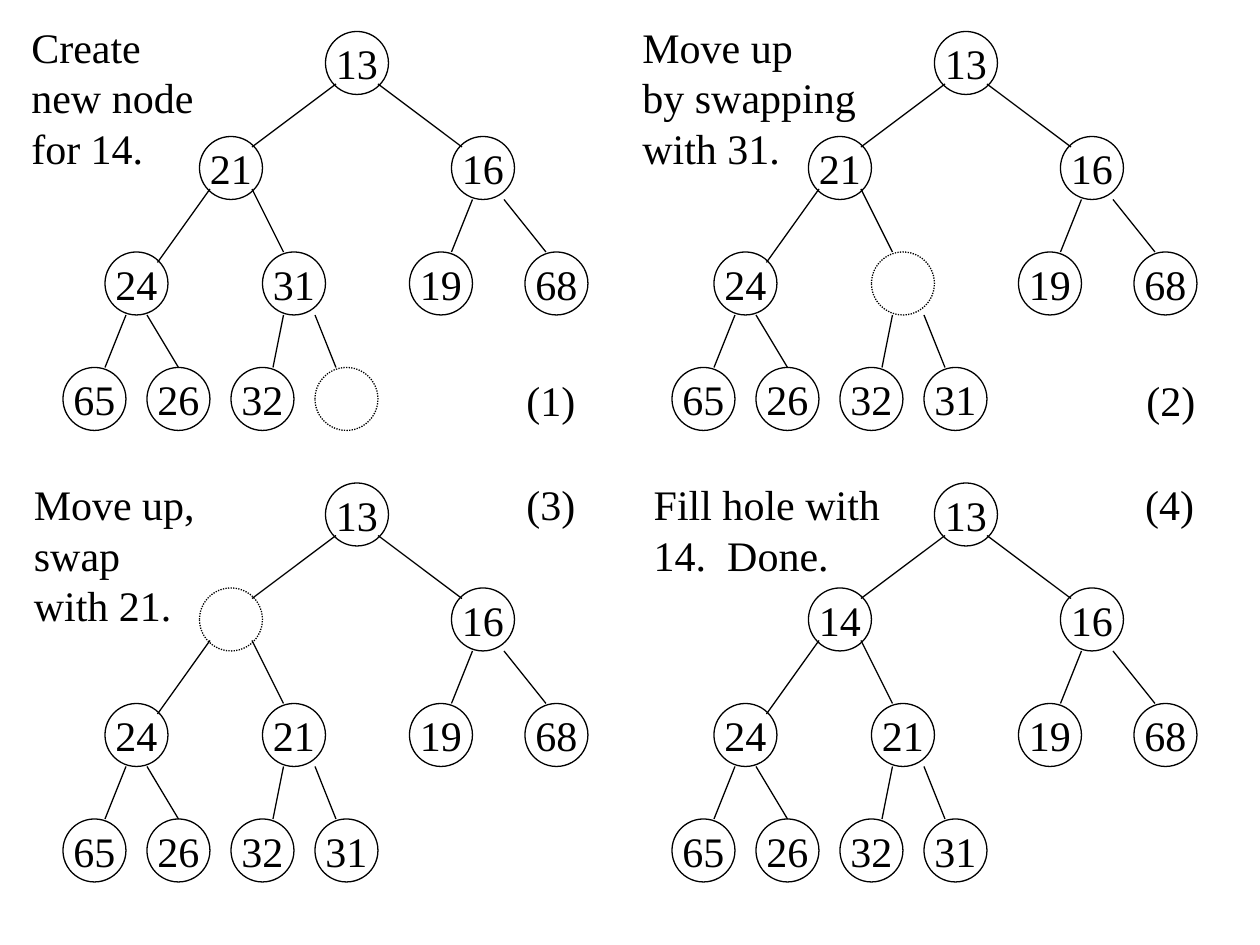
from pptx import Presentation
from pptx import util as u
from pptx.dml.color import RGBColor
from pptx.enum import dml, shapes, text
from pptx.oxml.ns import qn
from lxml import etree

COLORS = {"ink": "000000"}
FONT, SIZE, LEADING = "Times New Roman", 24, 28.8
CELL = u.Inches(1) / 12  # the trees sit on a grid of twelfths of an inch
NODE_CELLS = 6
TREE_STEP = (58, 43)  # columns and rows from one tree to the next

# Left column and top row of each heap node, level by level
NODE_SPOTS = [
    (31, 3),
    (19, 13), (43, 13),
    (10, 24), (25, 24), (39, 24), (50, 24),
    (6, 35), (14, 35), (22, 35), (30, 35),
]
# Start and end of each branch, parent to child
BRANCHES = [
    ((32, 8), (24, 14)), ((36, 8), (44, 14)),
    ((20, 18), (15, 25)), ((24, 18), (27, 24)),
    ((45, 19), (43, 24)), ((48, 19), (52, 24)),
    ((12, 30), (10, 35)), ((14, 30), (17, 35)),
    ((27, 30), (26, 35)), ((30, 30), (32, 35)),
]
# Values in level order; None is the hole. Boxes: left, top, width, height
STEPS = [
    {"values": [13, 21, 16, 24, 31, 19, 68, 65, 26, 32, None],
     "caption": ["Create", "new node", "for 14."],
     "caption_box": (0.15, 0.12, 1.49, 1.3), "number_box": (4.08, 2.92, 0.59, 0.5)},
    {"values": [13, 21, 16, 24, None, 19, 68, 65, 26, 32, 31],
     "caption": ["Move up", "by swapping", "with 31."],
     "caption_box": (5, 0.12, 1.9, 1.3), "number_box": (9, 2.92, 0.59, 0.5)},
    {"values": [13, None, 16, 24, 21, 19, 68, 65, 26, 32, 31],
     "caption": ["Move up,", "swap", "with 21."],
     "caption_box": (0.17, 3.75, 1.48, 1.3), "number_box": (4.08, 3.75, 0.59, 0.5)},
    {"values": [13, 14, 16, 24, 21, 19, 68, 65, 26, 32, 31],
     "caption": ["Fill hole with", "14.  Done."],
     "caption_box": (5.09, 3.75, 2.03, 0.9), "number_box": (8.99, 3.75, 0.59, 0.5)},
]


def ink():
    """Return the colour of all text and lines."""
    return RGBColor.from_string(COLORS["ink"])


def write(shape, lines, align):
    """Fill a shape with one paragraph per line, without wrapping."""
    frame = shape.text_frame
    frame.word_wrap = False
    frame.text = "\n".join(lines)
    for para in frame.paragraphs:
        para.alignment = align
        para.line_spacing = u.Pt(LEADING)
        para.font.name, para.font.size = FONT, u.Pt(SIZE)
        para.font.color.rgb = ink()


def draw_outline(line):
    """Give a line the common colour and width."""
    line.color.rgb = ink()
    line.width = u.Pt(0.75)


def add_label(page, lines, place):
    """Add a left-aligned text box at a place in inches."""
    box = page.shapes.add_textbox(*(u.Inches(length) for length in place))
    write(box, lines, text.PP_ALIGN.LEFT)
    box.text_frame.auto_size = text.MSO_AUTO_SIZE.SHAPE_TO_FIT_TEXT


def add_node(page, value, left, top):
    """Add a heap node, dotted and empty when it is the hole."""
    side = round(NODE_CELLS * CELL)
    node = page.shapes.add_shape(shapes.MSO_SHAPE.OVAL, left, top, side, side)
    node.shadow.inherit = False
    node.fill.background()
    draw_outline(node.line)
    if value is None:
        node.line.dash_style = dml.MSO_LINE.ROUND_DOT
        return
    write(node, [str(value)], text.PP_ALIGN.CENTER)
    node.text_frame.vertical_anchor = text.MSO_ANCHOR.MIDDLE


def add_branch(page, start, end):
    """Add a straight branch without a shadow."""
    branch = page.shapes.add_connector(shapes.MSO_CONNECTOR.STRAIGHT, *start, *end)
    draw_outline(branch.line)
    etree.SubElement(branch._element.spPr, qn("a:effectLst"))


def add_tree(page, values, column, row):
    """Add one heap with its corner at a grid column and row."""
    def spot(cell):
        """Return the slide position of a grid cell in this tree."""
        return round((cell[0] + column) * CELL), round((cell[1] + row) * CELL)

    for value, cell in zip(values, NODE_SPOTS):
        add_node(page, value, *spot(cell))
    for start, end in BRANCHES:
        add_branch(page, spot(start), spot(end))


deck = Presentation()
deck.slide_width, deck.slide_height = u.Inches(10), u.Inches(7.5)
page = deck.slides.add_slide(deck.slide_layouts[6])
for index, step in enumerate(STEPS):
    row, column = divmod(index, 2)
    add_tree(page, step["values"], column * TREE_STEP[0], row * TREE_STEP[1])
    add_label(page, step["caption"], step["caption_box"])
    add_label(page, [f"({index + 1})"], step["number_box"])
deck.save("out.pptx")
